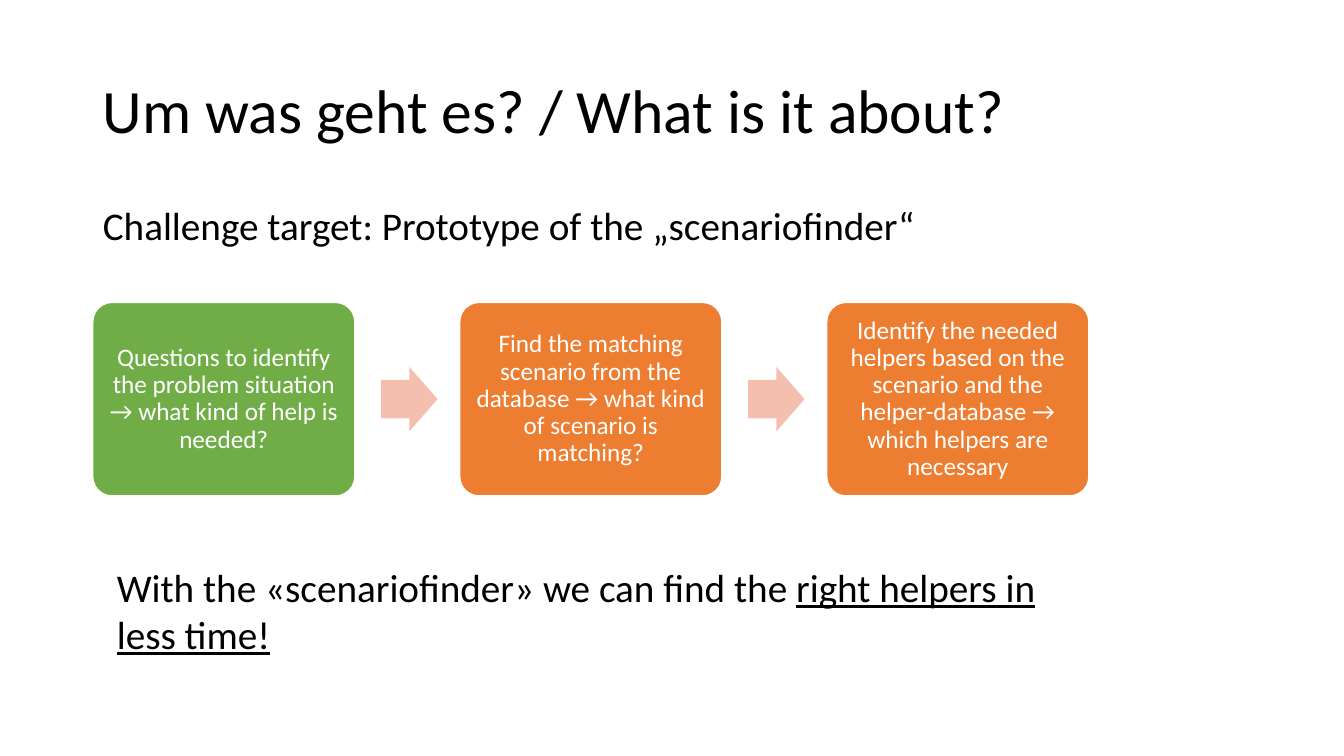
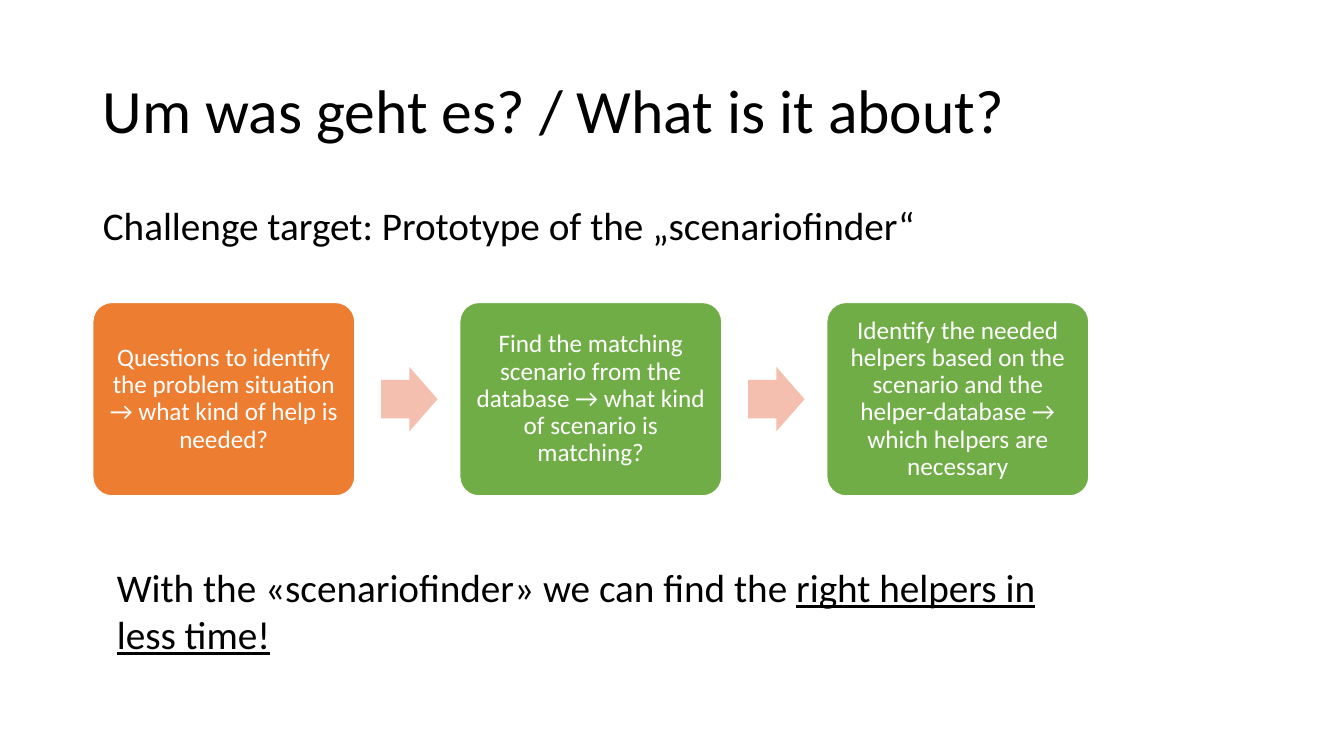
"""Build two slides that show the steps of the scenariofinder."""
from pptx import Presentation
from pptx.dml.color import RGBColor
from pptx.enum.shapes import MSO_SHAPE as Kind
from pptx.enum.text import MSO_ANCHOR as Anchor, MSO_AUTO_SIZE as Fit, PP_ALIGN as Align
from pptx.oxml.ns import qn
from pptx.util import Inches, Pt

BLACK = RGBColor(0x00, 0x00, 0x00)
WHITE = RGBColor(0xFF, 0xFF, 0xFF)
GREEN = RGBColor(0x70, 0xAD, 0x47)
ORANGE = RGBColor(0xED, 0x7D, 0x31)
PINK = RGBColor(0xF4, 0xBF, 0xAE)
FONT = "Calibri"

ROWS = 75
LEFT, STEP = 9.2, 36.4
BOX_W, BOX_H, BOX_TOP = 26, 19.2, 30
TIP_W, TIP_H = 5.6, 6.4
TIP_X = (STEP - BOX_W - TIP_W) / 2 + BOX_W + 0.2

STEPS = [
    "Questions to identify the problem situation → what kind of help is needed?",
    "Find the matching scenario from the database → what kind of scenario is matching?",
    "Identify the needed helpers based on the scenario and the helper-database → "
    "which helpers are necessary",
]
FILLS = [(GREEN, ORANGE, ORANGE), (ORANGE, GREEN, GREEN)]

deck = Presentation()
deck.slide_width, deck.slide_height = Inches(13.33), Inches(7.5)
cell = deck.slide_height / ROWS


def grid(*spans):
    """Turn grid cells into slide lengths."""
    return [round(span * cell) for span in spans]


def write(frame, parts, size, color=BLACK, align=Align.LEFT, lead=0.9):
    """Add the runs of one paragraph; each part is a text and its underline."""
    para = frame.paragraphs[0]
    para.alignment, para.line_spacing, para.space_before = align, lead, Pt(0)
    for text, under in parts:
        run = para.add_run()
        run.text = text
        font = run.font
        font.name, font.size, font.color.rgb = FONT, Pt(size), color
        if under:
            font.underline = True
    return para


layout = deck.slide_layouts[1]
places = [(LEFT, 4, 115, 14.5), (LEFT, 20, 115, 34)]
for holder, place in zip(layout.placeholders, places):
    holder.left, holder.top, holder.width, holder.height = grid(*place)

for fills in FILLS:
    slide = deck.slides.add_slide(layout)
    shapes = slide.shapes

    title = shapes.title.text_frame
    title.vertical_anchor = Anchor.MIDDLE
    write(title, [("Um was geht es? / What is it about?", False)], 44)

    body = slide.placeholders[1].text_frame
    para = write(body, [("Challenge target: Prototype of the „scenariofinder“", False)], 28)
    props = para._p.get_or_add_pPr()
    props.set("marL", "0")
    props.set("indent", "0")
    props.append(props.makeelement(qn("a:buNone"), {}))

    for col, (text, fill) in enumerate(zip(STEPS, fills)):
        left = LEFT + col * STEP
        if col:
            top = BOX_TOP + (BOX_H - TIP_H) / 2
            tip = shapes.add_shape(
                Kind.RIGHT_ARROW, *grid(left - STEP + TIP_X, top, TIP_W, TIP_H))
            tip.shadow.inherit = False
            tip.adjustments[0], tip.adjustments[1] = 0.6, 0.5
            tip.fill.solid()
            tip.fill.fore_color.rgb = PINK
            tip.line.fill.background()
        box = shapes.add_shape(Kind.ROUNDED_RECTANGLE, *grid(left, BOX_TOP, BOX_W, BOX_H))
        box.shadow.inherit = False
        box.adjustments[0] = 0.1
        box.fill.solid()
        box.fill.fore_color.rgb = fill
        box.line.color.rgb, box.line.width = WHITE, Pt(1)
        frame = box.text_frame
        frame.word_wrap, frame.vertical_anchor = True, Anchor.MIDDLE
        frame.margin_left = frame.margin_right = Inches(0.07)
        frame.margin_top = frame.margin_bottom = Inches(0.07)
        write(frame, [(text, False)], 18, WHITE, Align.CENTER)

    claim = shapes.add_textbox(*grid(10.6, 55.4, 97.5, 10.4)).text_frame
    claim.word_wrap, claim.auto_size = True, Fit.SHAPE_TO_FIT_TEXT
    write(claim, [("With the «scenariofinder» we can find the ", False),
                  ("right helpers in less time!", True)], 28, lead=1.0)

deck.save("out.pptx")
